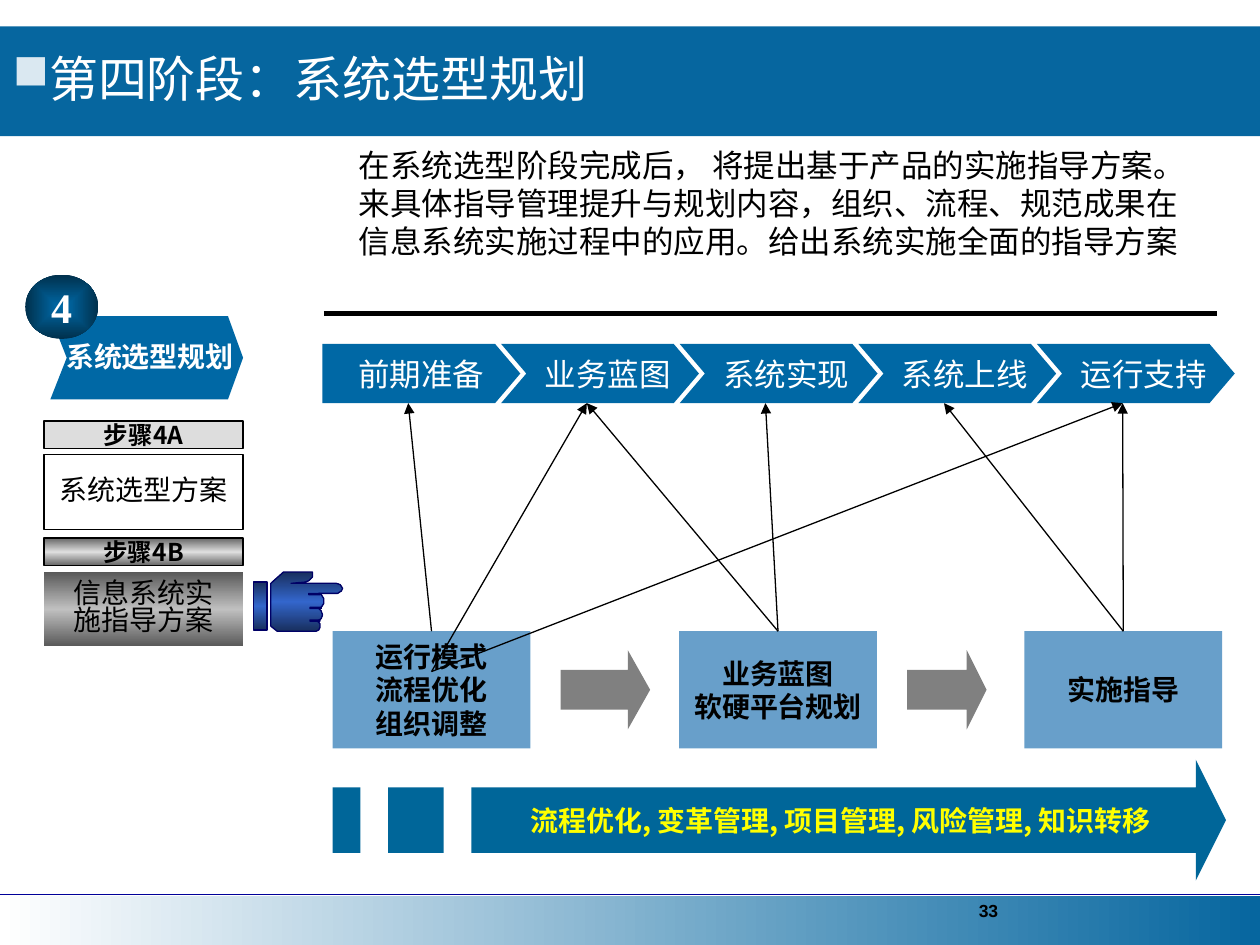
from dataclasses import dataclass

from lxml.etree import SubElement
from pptx import Presentation
from pptx.dml.color import RGBColor
from pptx.enum.shapes import MSO_CONNECTOR, MSO_SHAPE
from pptx.enum.text import MSO_ANCHOR, PP_ALIGN
from pptx.oxml import parse_xml
from pptx.oxml.ns import nsdecls, qn
from pptx.util import Inches, Pt


@dataclass(frozen=True)
class Theme:
    band: str = "06669F"
    bullet: str = "DAE8F1"
    chevron: str = "0068A5"
    banner: str = "006699"
    block: str = "689FCA"
    arrow: str = "808080"
    step: str = "DDDDDD"
    rule: str = "000099"
    outline: str = "000066"
    black: str = "000000"
    white: str = "FFFFFF"
    yellow: str = "FFFF00"
    footer: tuple = ("FFFFFF", "06669F")
    badge: tuple = ("0068A5", "00304C")
    step_active: tuple = ("666666", "DDDDDD", "666666")
    task_active: tuple = ("595959", "C0C0C0", "595959")
    hand: tuple = ("182F5E", "3366CC", "182F5E")
    sans: str = "Arial"
    serif: str = "Times New Roman"
    cjk: str = "Noto Sans CJK SC"
    title: int = 28
    badge_size: int = 24
    body: int = 18
    label: int = 16
    small: int = 14
    page: int = 10


T = Theme()


@dataclass(frozen=True)
class Box:
    x: float
    y: float
    w: float
    h: float

    def inner(self, dx, dy, w, h):
        return Box(self.x + dx, self.y + dy, w, h)

    def emu(self):
        return [Inches(v) for v in (self.x, self.y, self.w, self.h)]


def paint(s, fill=None, line=None, angle=90, radial=False):
    """A tuple of colours gives a gradient, None gives no fill."""
    s.shadow.inherit = False
    if fill is None:
        s.fill.background()
    elif isinstance(fill, str):
        s.fill.solid()
        s.fill.fore_color.rgb = RGBColor.from_string(fill)
    else:
        s.fill.gradient()
        stops = "".join(
            f'<a:gs pos="{100000 * i // (len(fill) - 1)}"><a:srgbClr val="{c}"/></a:gs>'
            for i, c in enumerate(fill))
        way = f'<a:lin ang="{angle * 60000}" scaled="0"/>'
        if radial:
            way = '<a:path path="rect"><a:fillToRect l="50000" t="50000" r="50000" b="50000"/></a:path>'
        spPr = s._element.spPr
        spPr.replace(spPr.find(qn("a:gradFill")), parse_xml(
            f'<a:gradFill {nsdecls("a")}><a:gsLst>{stops}</a:gsLst>{way}</a:gradFill>'))
    if line:
        s.line.color.rgb = RGBColor.from_string(line)
        s.line.width = Pt(0.75)
    else:
        s.line.fill.background()
    return s


def write(s, lines, size, color=T.black, font=T.cjk, bold=False, align=PP_ALIGN.CENTER,
          anchor=MSO_ANCHOR.MIDDLE, wrap=True, spacing=None, left=0.1, right=0.1):
    tf = s.text_frame
    tf.word_wrap, tf.vertical_anchor = wrap, anchor
    tf.margin_left, tf.margin_right = Inches(left), Inches(right)
    tf.margin_top = tf.margin_bottom = Inches(0.05)
    for i, line in enumerate(lines):
        p = tf.add_paragraph() if i else tf.paragraphs[0]
        p.alignment, p.line_spacing = align, spacing
        r = p.add_run()
        r.text = line
        r.font.size, r.font.bold, r.font.name = Pt(size), bold, font
        r.font.color.rgb = RGBColor.from_string(color)
        SubElement(r._r.get_or_add_rPr(), qn("a:ea"), typeface=T.cjk)


def shape(shapes, box, fill=None, kind=MSO_SHAPE.RECTANGLE, **style):
    return paint(shapes.add_shape(kind, *box.emu()), fill, **style)


def outline(shapes, box, contours, fill, **style):
    """Closed outlines, with points relative to the box."""
    builder = None
    for contour in contours:
        first, *rest = [(Inches(x), Inches(y)) for x, y in contour]
        if builder is None:
            builder = shapes.build_freeform(*first)
        else:
            builder.move_to(*first)
        builder.add_line_segments(rest, close=True)
    return paint(builder.convert_to_shape(Inches(box.x), Inches(box.y)), fill, **style)


def connect(shapes, start, end, color=T.black, width=0.75, head=False):
    s = shapes.add_connector(MSO_CONNECTOR.STRAIGHT, *[Inches(v) for v in (*start, *end)])
    s.line.color.rgb = RGBColor.from_string(color)
    s.line.width = Pt(width)
    spPr = s._element.spPr
    if head:
        SubElement(spPr.find(qn("a:ln")), qn("a:tailEnd"), type="triangle")
    SubElement(spPr, qn("a:effectLst"))


def add_title(slide, box):
    s = slide.shapes.title
    s.left, s.top, s.width, s.height = box.emu()
    s.fill.solid()
    s.fill.fore_color.rgb = RGBColor.from_string(T.band)
    pPr = s.text_frame.paragraphs[0]._p.get_or_add_pPr()
    pPr.set("marL", str(Inches(0.29)))
    pPr.set("indent", str(-Inches(0.29)))
    SubElement(SubElement(pPr, qn("a:buClr")), qn("a:srgbClr"), val=T.bullet)
    SubElement(pPr, qn("a:buChar"), char="■")
    write(s, ["第四阶段：系统选型规划"], T.title, T.white, T.sans,
          align=PP_ALIGN.LEFT, spacing=0.9)


def add_footer(shapes, box):
    shape(shapes, box, T.footer, angle=0)
    connect(shapes, (box.x, box.y - 0.01), (box.x + box.w, box.y - 0.01), T.rule, 1)
    s = shapes.add_textbox(*box.inner(7.67, -0.02, 2.33, 0.36).emu())
    write(s, ["33"], T.page, font=T.sans, bold=True, align=PP_ALIGN.LEFT, anchor=MSO_ANCHOR.TOP)


def add_intro(shapes, box):
    s = shapes.add_textbox(*box.inner(0.18, 0, 6.9, 1).emu())
    write(s, ["在系统选型阶段完成后， 将提出基于产品的实施指导方案。来具体指导管理提升与规划内容，"
              "组织、流程、规范成果在信息系统实施过程中的应用。给出系统实施全面的指导方案"],
          T.body, align=PP_ALIGN.LEFT, anchor=MSO_ANCHOR.TOP)
    bottom = box.y + box.h
    connect(shapes, (box.x, bottom), (box.x + box.w, bottom), width=3)


def add_phases(shapes, box):
    """Chevron row; returns the point below each chevron."""
    names = ["前期准备", "业务蓝图", "系统实现", "系统上线", "运行支持"]
    w, h, tip = 1.57, box.h, 0.2
    pitch = (box.w - w) / (len(names) - 1)
    for i, name in enumerate(names):
        points = [(0, 0), (w - tip, 0), (w, h / 2), (w - tip, h), (0, h)]
        if i:
            points.append((tip, h / 2))
        s = outline(shapes, box.inner(i * pitch, 0, w, h), [points], T.chevron)
        write(s, [name], T.body, T.white, T.serif, left=0.22 if i else 0.1)
    return [(box.x + i * pitch + 0.68, box.y + h) for i in range(len(names))]


def add_deliverables(shapes, box, phases):
    blocks = [(0, ["运行模式", "流程优化", "组织调整"]),
              (2.75, ["业务蓝图", "软硬平台规划"]),
              (5.49, ["实施指导"])]
    w = 1.57
    for dx, lines in blocks:
        s = shape(shapes, box.inner(dx, 0, w, box.h), T.block)
        write(s, lines, T.label, bold=True, wrap=False)
    for dx, length in ((1.81, 0.71), (4.56, 0.63)):
        s = shape(shapes, box.inner(dx, 0.15, length, 0.63), T.arrow, MSO_SHAPE.RIGHT_ARROW)
        s.adjustments[1] = 0.25 * length / 0.63
    # Links: block, drop below its top edge, phase
    links = [(0, 0, 0), (0, 0.32, 1), (0, 0.32, 4), (1, 0, 1), (1, 0, 2), (2, 0, 3), (2, 0, 4)]
    for block, drop, phase in links:
        start = (box.x + blocks[block][0] + w / 2, box.y + drop)
        connect(shapes, start, phases[phase], head=True)


def add_banner(shapes, box):
    top, low, neck = 0.22, 0.74, 6.85
    bars = [[(a, top), (b, top), (b, low), (a, low)] for a, b in ((0, 0.22), (0.44, 0.88))]
    arrow = [(neck, 0), (neck, top), (1.1, top), (1.1, low), (neck, low),
             (neck, box.h), (box.w, box.h / 2)]
    s = outline(shapes, box, [arrow, *bars], T.banner)
    write(s, ["流程优化, 变革管理, 项目管理, 风险管理, 知识转移"], T.label, T.yellow,
          bold=True, left=1.1, right=0.13)


def add_stage(shapes, box):
    # Stage flag and numbered badge
    flag = [(0, 0), (1.41, 0), (1.53, 0.33), (1.41, 0.66), (0, 0.66), (0.13, 0.33)]
    outline(shapes, box.inner(0.2, 0.33, 1.53, 0.66), [flag], T.chevron)
    s = shape(shapes, box.inner(0, 0, 0.58, 0.51), T.badge, MSO_SHAPE.OVAL, radial=True)
    write(s, ["4"], T.badge_size, T.white, T.serif, True, wrap=False)
    s = shapes.add_textbox(*box.inner(0.08, 0.52, 1.82, 0.26).emu())
    write(s, ["系统选型规划"], T.label, T.white, T.serif, True, wrap=False)
    # Steps with their tasks
    steps = [("步骤4A", T.step, ["系统选型方案"], None, T.black),
             ("步骤4B", T.step_active, ["信息系统实", "施指导方案"], T.task_active, None)]
    for i, (name, fill, task, task_fill, line) in enumerate(steps):
        y = 1.16 + 0.93 * i
        s = shape(shapes, box.inner(0.15, y, 1.58, 0.22), fill, line=T.black)
        write(s, [name], T.small, bold=True, wrap=False)
        s = shape(shapes, box.inner(0.15, y + 0.27, 1.58, 0.59), task_fill, line=line)
        write(s, task, T.label, spacing=0.8)


def add_hand(shapes, box):
    group = shapes.add_group_shape().shapes
    style = dict(fill=T.hand, line=T.outline)
    shape(group, box.inner(0, 0.08, 0.11, 0.38), **style)
    # Palm, thumb and pointing finger, with the curled fingers
    hand = [(0.52, 0.17), (0.54, 0.18), (0.56, 0.21), (0.56, 0.25), (0.54, 0.28), (0.52, 0.29),
            (0.54, 0.31), (0.55, 0.34), (0.54, 0.37), (0.51, 0.39), (0.53, 0.41), (0.53, 0.44),
            (0.52, 0.46), (0.5, 0.47), (0.19, 0.47), (0.14, 0.43), (0.14, 0.09), (0.24, 0),
            (0.47, 0), (0.47, 0.04), (0.44, 0.07), (0.41, 0.08), (0.3, 0.09), (0.66, 0.09),
            (0.69, 0.1), (0.71, 0.13), (0.7, 0.15), (0.67, 0.17)]
    outline(group, box, [hand], **style)
    for dx, dy, w in ((0.44, 0.17, 0.09), (0.45, 0.28, 0.09), (0.45, 0.38, 0.08)):
        shape(group, box.inner(dx, dy, w, 0.01), kind=MSO_SHAPE.ROUNDED_RECTANGLE, **style)


def main():
    prs = Presentation()
    prs.slide_width, prs.slide_height = Inches(10), Inches(7.5)
    slide = prs.slides.add_slide(prs.slide_layouts[5])
    shapes = slide.shapes
    add_title(slide, Box(0, 0.21, 10, 0.87))
    add_footer(shapes, Box(0, 7.11, 10, 0.41))
    add_intro(shapes, Box(2.57, 1.11, 7.09, 1.38))
    phases = add_phases(shapes, Box(2.56, 2.73, 7.24, 0.47))
    add_banner(shapes, Box(2.64, 6.03, 7.09, 0.96))
    add_deliverables(shapes, Box(2.64, 5.01, 7.06, 0.93), phases)
    add_stage(shapes, Box(0.2, 2.18, 1.9, 2.95))
    add_hand(shapes, Box(2.01, 4.54, 0.71, 0.47))
    prs.save("out.pptx")


if __name__ == "__main__":
    main()
